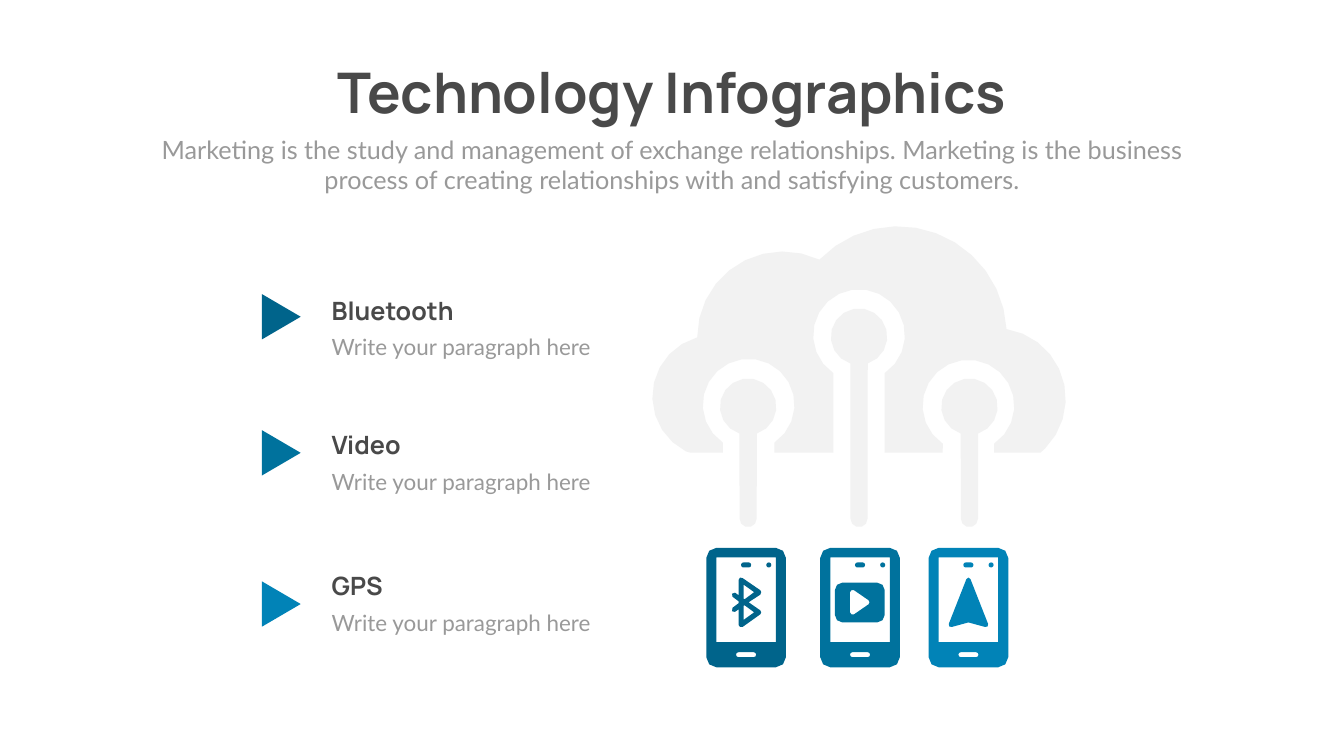
from math import acos, cos, degrees, radians, sin

from pptx import Presentation
from pptx.dml.color import RGBColor
from pptx.enum.shapes import MSO_SHAPE as Preset
from pptx.enum.text import MSO_ANCHOR as Anchor, MSO_AUTO_SIZE as AutoSize, PP_ALIGN as Align
from pptx.util import Pt

PX = 9144
DARK, GRAY, PALE = "494949", "999999", "F2F2F2"
HEADING_FONT, BODY_FONT = "Manrope", "Lato"
CLOUD_FLOOR = 898
PHONE_TOP = 1087


def color(hex_code):
    return RGBColor.from_string(hex_code)


def paint(shape, hex_code):
    shape.shadow.inherit = False
    shape.fill.solid()
    shape.fill.fore_color.rgb = color(hex_code)
    shape.line.fill.background()


def write(frame, text, size=32, font=BODY_FONT, hex_code=GRAY, bold=False,
          align=Align.LEFT, wrap=True, top_inset=5):
    frame.auto_size = AutoSize.NONE
    frame.word_wrap = wrap
    frame.vertical_anchor = Anchor.TOP
    frame.margin_top = top_inset * PX
    paragraph = frame.paragraphs[0]
    paragraph.text = text
    paragraph.alignment = align
    paragraph.line_spacing = 1.0
    paragraph.space_before = Pt(0)
    paragraph.font.size = Pt(size)
    paragraph.font.name = font
    paragraph.font.bold = bold
    paragraph.font.color.rgb = color(hex_code)


def arc(cx, cy, radius, start, end):
    widest_step = degrees(2 * acos(1 - 1 / radius))
    steps = max(2, round(abs(end - start) / widest_step))
    angles = [radians(start + (end - start) * i / steps) for i in range(steps + 1)]
    return [(cx + radius * cos(a), cy + radius * sin(a)) for a in angles]


def rounded(x, y, width, height, radius):
    left, right = x + radius, x + width - radius
    top, bottom = y + radius, y + height - radius
    return (arc(left, top, radius, 180, 270) + arc(right, top, radius, 270, 360)
            + arc(right, bottom, radius, 0, 90) + arc(left, bottom, radius, 90, 180))


def notch(cx, cy):
    return [(cx + 51, CLOUD_FLOOR), *arc(cx, cy, 91, 56, -236), (cx - 51, CLOUD_FLOOR)]


def antenna(cx, cy):
    return arc(cx, cy, 56, 108, 432) + arc(cx, 1029, 17, 0, 180)


class InfographicSlide:
    def __init__(self, deck):
        self.slide = deck.slides.add_slide(deck.slide_layouts[0])
        self.shapes = self.slide.shapes
        self.heading_style = dict(font=HEADING_FONT, hex_code=DARK, bold=True, top_inset=0)

    def placeholder(self, index, box, text, **style):
        holder = self.slide.placeholders[index]
        holder.left, holder.top, holder.width, holder.height = (n * PX for n in box)
        write(holder.text_frame, text, align=Align.CENTER, **style)

    def text(self, box, text, **style):
        label = self.shapes.add_textbox(*(n * PX for n in box))
        write(label.text_frame, text, **style)

    def preset(self, kind, box, hex_code, shapes=None):
        shape = (shapes or self.shapes).add_shape(kind, *(n * PX for n in box))
        paint(shape, hex_code)
        return shape

    def outline(self, contours, hex_code, x=0, y=0, shapes=None):
        placed = [[((x + px) * PX, (y + py) * PX) for px, py in c] for c in contours]
        first, *others = placed
        builder = (shapes or self.shapes).build_freeform(*first[0], scale=1.0)
        builder.add_line_segments(first[1:])
        for contour in others:
            builder.move_to(*contour[0])
            builder.add_line_segments(contour[1:])
        paint(builder.convert_to_shape(), hex_code)

    def cloud(self):
        body = (arc(1416, 787, 122, 117, 254) + arc(1553, 669, 170, 180, 295)
                + arc(1781, 665, 216, 224, 357) + arc(1974, 791, 140, 279, 405)
                + [(2064, CLOUD_FLOOR)]
                + notch(1921, 805) + notch(1704, 665) + notch(1485, 803)
                + [(1369, CLOUD_FLOOR)])
        antennas = [antenna(1484, 807), antenna(1704, 668), antenna(1923, 807)]
        self.outline([body, *antennas], PALE)

    def phone(self, x, icon, hex_code):
        case = [rounded(0, 0, 158, 237, 20),
                [(20, 19), (138, 19), (138, 187), (20, 187)],
                rounded(59, 207, 40, 10, 5)]
        parts = self.shapes.add_group_shape().shapes
        self.outline(icon, hex_code, x, PHONE_TOP, parts)
        speaker = self.preset(Preset.ROUNDED_RECTANGLE, (x + 69, PHONE_TOP + 29, 20, 10),
                              hex_code, parts)
        speaker.adjustments[0] = 0.5
        self.outline(case, hex_code, x, PHONE_TOP, parts)
        self.preset(Preset.OVAL, (x + 119, PHONE_TOP + 29, 10, 10), hex_code, parts)

    def item(self, heading, top, marker_top, hex_code):
        self.text((648, top, 466, 71), heading, size=36, **self.heading_style)
        self.text((648, top + 71, 536, 64), "Write your paragraph here")
        marker = self.preset(Preset.ISOSCELES_TRIANGLE, (513, marker_top, 90, 77), hex_code)
        marker.rotation = 90


BLUETOOTH = [
    [(52, 119), (51, 126), (57, 127), (64, 122), (64, 153), (67, 157), (72, 157),
     (107, 132), (109, 128), (107, 124), (84, 108), (107, 93), (109, 88), (107, 84),
     (72, 60), (67, 59), (64, 64), (64, 94), (57, 89), (51, 91), (52, 97),
     (64, 106), (64, 110)],
    [(74, 73), (95, 88), (76, 102), (74, 101)],
    [(74, 115), (76, 114), (95, 128), (74, 143)],
]
VIDEO = [
    rounded(29, 69, 99, 79, 15),
    [(59, 88), (62, 84), (67, 84), (96, 104), (98, 108), (96, 112), (67, 132),
     (62, 132), (59, 128)],
]
GPS = [[(46, 157), (79, 148), (112, 157), (117, 156), (118, 151), (83, 62), (79, 59),
        (75, 62), (40, 151), (41, 156)]]

FEATURES = [
    ("Bluetooth", 586, 590, 1401, BLUETOOTH, "00648B"),
    ("Video", 852, 860, 1627, VIDEO, "00729D"),
    ("GPS", 1132, 1160, 1842, GPS, "0183B7"),
]


def main():
    deck = Presentation()
    deck.slide_width, deck.slide_height = 2666 * PX, 1500 * PX
    page = InfographicSlide(deck)
    page.placeholder(0, (604, 114, 1459, 145), "Technology Infographics",
                     size=80, wrap=False, **page.heading_style)
    page.placeholder(1, (292, 261, 2082, 131),
                     "Marketing is the study and management of exchange relationships. "
                     "Marketing is the business process of creating relationships with "
                     "and satisfying customers.", size=36)
    page.cloud()
    for heading, top, marker_top, phone_left, icon, hex_code in FEATURES:
        page.phone(phone_left, icon, hex_code)
        page.item(heading, top, marker_top, hex_code)
    deck.save("out.pptx")


if __name__ == "__main__":
    main()
